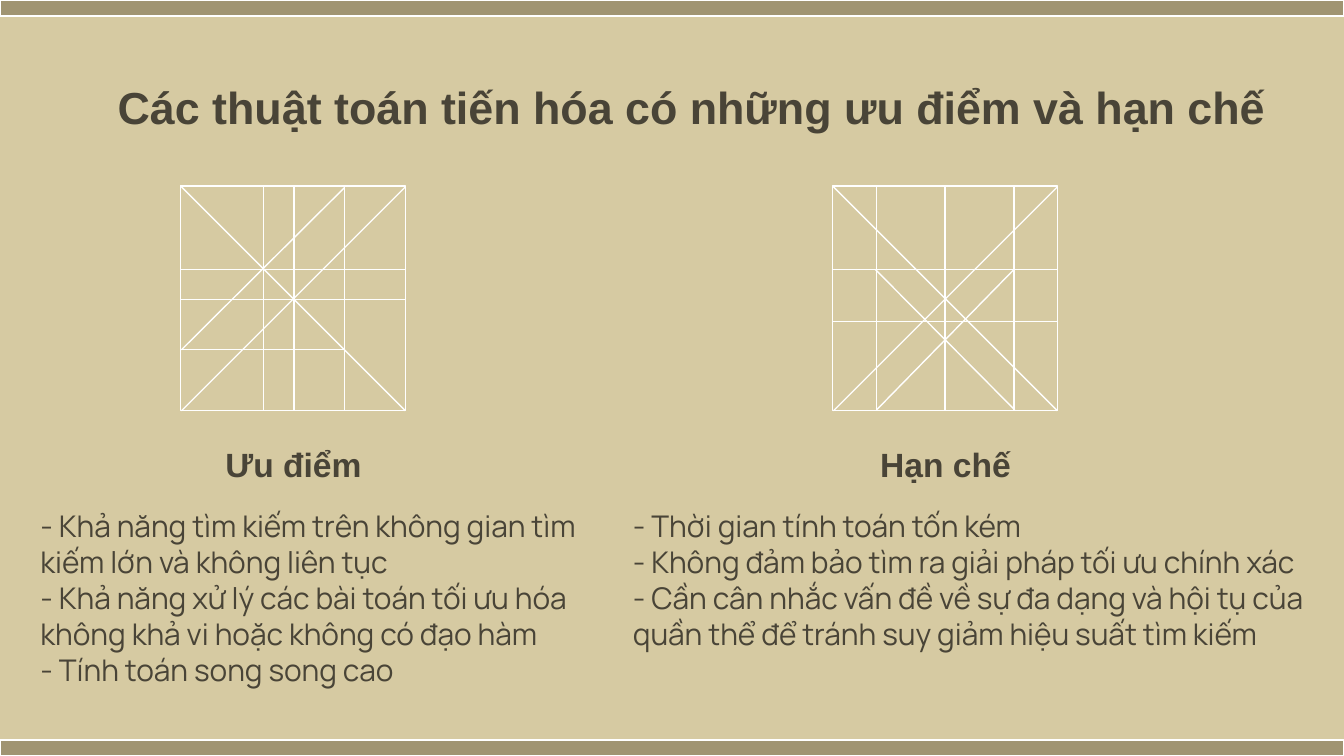
from dataclasses import dataclass

from lxml import etree
from pptx import Presentation
from pptx.dml.color import RGBColor
from pptx.enum.shapes import MSO_CONNECTOR, MSO_SHAPE
from pptx.enum.text import MSO_ANCHOR, PP_ALIGN
from pptx.oxml.ns import qn
from pptx.util import Pt

RECTANGLE = MSO_SHAPE.RECTANGLE
STRAIGHT = MSO_CONNECTOR.STRAIGHT
TOP, BOTTOM = MSO_ANCHOR.TOP, MSO_ANCHOR.BOTTOM
LEFT, CENTER = PP_ALIGN.LEFT, PP_ALIGN.CENTER

COLORS = {"sand": "D6CAA2", "bar": "A09472", "line": "FFFFFF", "text": "494437"}
WIDTH, HEIGHT, BAR = 720, 405, 8.64
SQUARE, FIGURE_TOP = 120.5, 99.6
HEADING = {"name": "Arial", "bold": True}
BODY = {"name": "Manrope", "size": Pt(16)}


@dataclass
class TextBlock:
    left: float
    top: float
    width: float
    height: float
    lines: list[str]
    font: dict
    align: int = CENTER
    anchor: int = TOP


@dataclass
class Figure:
    left: float
    squares: list[float]
    columns: list[float]
    rows: list[float]
    diagonals: list[tuple[float, float, float, float]]


BLOCKS = [
    TextBlock(23.4, 35.28, 694, 45.36,
              ["Các thuật toán tiến hóa có những ưu điểm và hạn chế"],
              {**HEADING, "size": Pt(24)}),
    TextBlock(41, 233.6, 232.56, 33.12, ["Ưu điểm"],
              {**HEADING, "size": Pt(18)}, anchor=BOTTOM),
    TextBlock(390.24, 233.6, 232.56, 33.12, ["Hạn chế"],
              {**HEADING, "size": Pt(18)}, anchor=BOTTOM),
    TextBlock(14.6, 265, 315.36, 74.88, [
        "- Khả năng tìm kiếm trên không gian tìm kiếm lớn và không liên tục",
        "- Khả năng xử lý các bài toán tối ưu hóa không khả vi hoặc không có đạo hàm",
        "- Tính toán song song cao",
    ], BODY, LEFT),
    TextBlock(332, 265, 374.4, 74.88, [
        "- Thời gian tính toán tốn kém",
        "- Không đảm bảo tìm ra giải pháp tối ưu chính xác",
        "- Cần cân nhắc vấn đề về sự đa dạng và hội tụ của quần thể để tránh suy giảm hiệu suất tìm kiếm",
    ], BODY, LEFT),
]

CROSS = [(0.5, 0.5, SQUARE, SQUARE), (SQUARE, 0.5, 0.5, SQUARE)]
FIGURES = [
    Figure(96.7, [SQUARE, 87.8], [44.3, 60.8, 87.8], [44.8, 60.8],
           CROSS + [(0.5, 87.8, 87.8, 1)]),
    Figure(446, [SQUARE], [23.5, 60.3, 97.2], [44.8, 72.5],
           CROSS + [(23, 44.8, 97.6, 120), (97.2, 44.8, 23.6, 120)]),
]


def rgb(name: str) -> RGBColor:
    return RGBColor.from_string(COLORS[name])


def style_line(shape) -> None:
    shape.line.color.rgb = rgb("line")
    shape.line.width = Pt(0.75)


def draw_rectangle(shapes, left: float, top: float, width: float, height: float,
                   fill: str | None = None) -> None:
    shape = shapes.add_shape(RECTANGLE, Pt(left), Pt(top), Pt(width), Pt(height))
    shape.shadow.inherit = False
    if fill:
        shape.fill.solid()
        shape.fill.fore_color.rgb = rgb(fill)
    else:
        shape.fill.background()
    style_line(shape)


def draw_line(shapes, x1: float, y1: float, x2: float, y2: float) -> None:
    line = shapes.add_connector(STRAIGHT, Pt(x1), Pt(y1), Pt(x2), Pt(y2))
    style_line(line)
    etree.SubElement(line._element.spPr, qn("a:effectLst"))


def draw_figure(page, figure: Figure) -> None:
    shapes = page.shapes.add_group_shape().shapes
    for side in figure.squares:
        draw_rectangle(shapes, figure.left, FIGURE_TOP, side, side)
    lines = [(x, 0, x, SQUARE) for x in figure.columns]
    lines += [(0, y, SQUARE, y) for y in figure.rows]
    for x1, y1, x2, y2 in lines + figure.diagonals:
        draw_line(shapes, figure.left + x1, FIGURE_TOP + y1,
                  figure.left + x2, FIGURE_TOP + y2)


def draw_text(page, block: TextBlock) -> None:
    box = page.shapes.add_textbox(Pt(block.left), Pt(block.top),
                                  Pt(block.width), Pt(block.height))
    frame = box.text_frame
    settings = {"word_wrap": True, "vertical_anchor": block.anchor}
    for side in ("left", "right", "top", "bottom"):
        settings[f"margin_{side}"] = Pt(7.2)
    for key, value in settings.items():
        setattr(frame, key, value)
    for index, line in enumerate(block.lines):
        para = frame.add_paragraph() if index else frame.paragraphs[0]
        para.alignment = block.align
        para.line_spacing = 1.0
        span = para.add_run()
        span.text = line
        span.font.color.rgb = rgb("text")
        for key, value in block.font.items():
            setattr(span.font, key, value)


def main() -> None:
    deck = Presentation()
    deck.slide_width, deck.slide_height = Pt(WIDTH), Pt(HEIGHT)
    page = deck.slides.add_slide(deck.slide_layouts[6])
    page.background.fill.solid()
    page.background.fill.fore_color.rgb = rgb("sand")
    for top in (HEIGHT - BAR, 0):
        draw_rectangle(page.shapes, 0, top, WIDTH, BAR, "bar")
    for block in BLOCKS:
        draw_text(page, block)
    for figure in FIGURES:
        draw_figure(page, figure)
    deck.save("out.pptx")


if __name__ == "__main__":
    main()
